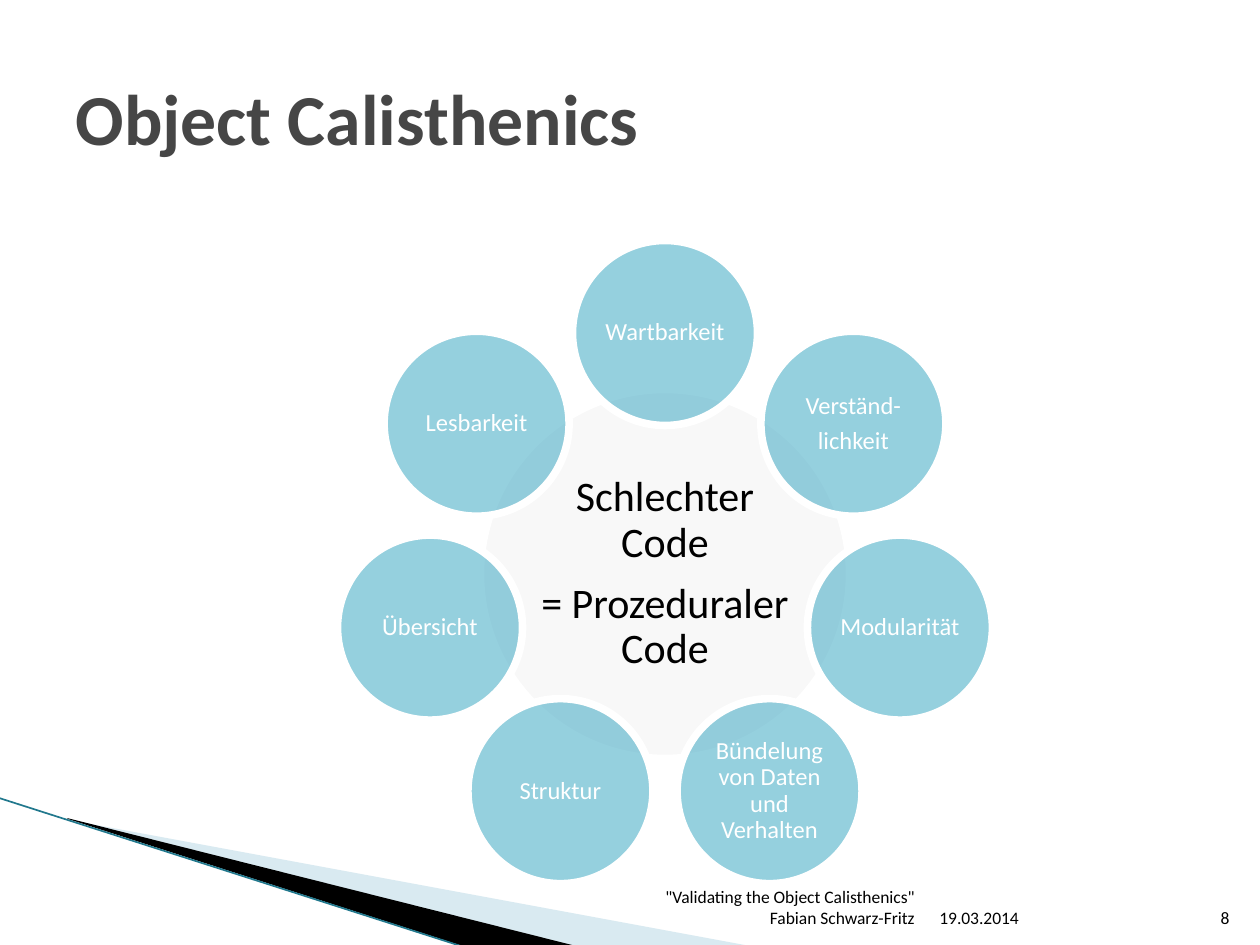
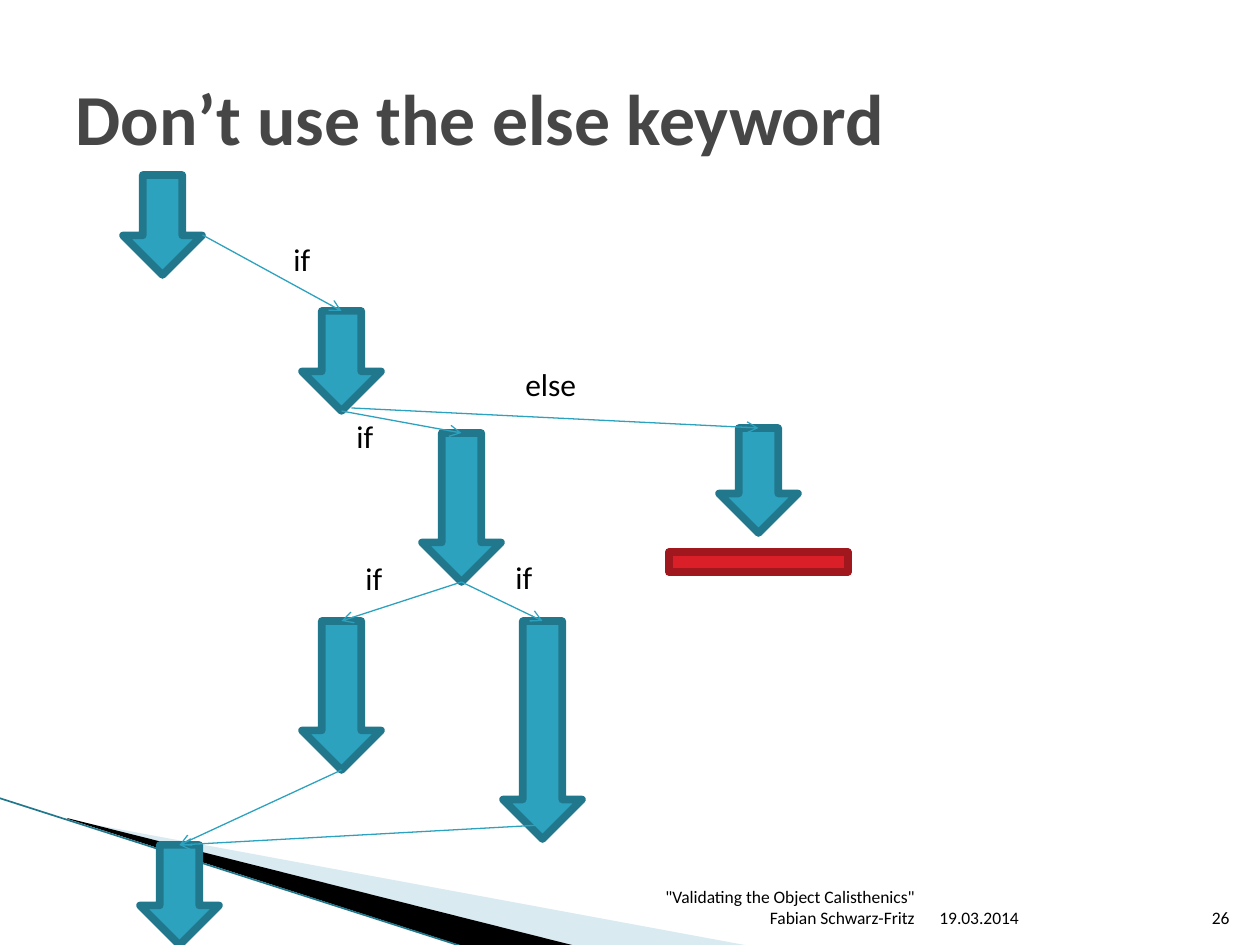
from math import cos, pi, sin

from lxml.etree import SubElement
from pptx import Presentation
from pptx.dml.color import RGBColor
from pptx.enum.shapes import MSO_CONNECTOR, MSO_SHAPE
from pptx.enum.text import MSO_ANCHOR, MSO_AUTO_SIZE, PP_ALIGN
from pptx.oxml.ns import qn
from pptx.util import Pt

# Shared style: 126 px to the inch
PX = 914400 / 126
FONT = "Calibri"
COLORS = {
    "title": "464646", "text": "000000", "white": "FFFFFF",
    "teal": "2DA2BF", "teal_dark": "21788D", "pale": "A0CBDC",
    "hub": "F2F2F2", "red": "DA1F28", "red_dark": "A1171E",
}
THICK, THIN = 4.33, 0.75

# Footer and corner band: box, text, alignment / points, colour, opacity
FOOTER = [
    ((927, 883, 265, 51), "19.03.2014", PP_ALIGN.LEFT),
    ((603, 883, 324, 51),
     '"Validating the Object Calisthenics"\vFabian Schwarz-Fritz', PP_ALIGN.RIGHT),
]
NUMBER_BOX = (1192, 883, 50, 51)
TITLE_BOX = (63, 38, 1134, 158)
BANDS = [
    ([(69, 820), (750, 946), (575, 946), (69, 819)], "pale", 40),
    ([(67, 818), (576, 946), (469, 948), (68, 819)], "text", 100),
]
BAND_EDGE = ((-1, 798), (467, 948))

# Slide 1: hub with a ring of qualities, clockwise from the top
HUB = ["Schlechter Code", "= Prozeduraler Code"]
QUALITIES = [
    ["Wartbarkeit"], ["Verständ-", "lichkeit"], ["Modularität"],
    ["Bündelung von Daten und Verhalten"], ["Struktur"], ["Übersicht"],
    ["Lesbarkeit"],
]
CENTER, RING_RADIUS, HUB_SIZE, QUALITY_SIZE = (665, 574), 241, 369, 185

# Slide 2: block arrows as left, top, height
ARROW_WIDTH = 79
ARROWS = {
    "branch": (302, 311, 100), "nested": (422, 433, 149),
    "dead_end": (719, 428, 105), "left": (302, 621, 149),
    "right": (503, 621, 218), "start": (123, 175, 100), "end": (140, 845, 100),
}
# Flow: source, offset from its tip, target
FLOWS = [
    ("start", (40, -40), "branch"), ("branch", (0, 0), "nested"),
    ("branch", (10, -3), "dead_end"), ("nested", (0, 0), "left"),
    ("nested", (0, 0), "right"), ("left", (0, 0), "end"),
    ("right", (0, -14), "end"),
]
CONDITIONS = [
    ("if", 281, 234), ("if", 344, 411), ("else", 513, 359),
    ("if", 353, 553), ("if", 503, 552),
]
STOP_BAR = (669, 552, 179, 20)


def emu(*values):
    return [round(v * PX) for v in values]


def rgb(name):
    return RGBColor.from_string(COLORS[name])


def set_all(obj, **values):
    for name, value in values.items():
        setattr(obj, name, value)


def write(tf, lines, size, color="text", align=PP_ALIGN.LEFT, inset=None,
          anchor=MSO_ANCHOR.TOP, bold=False, **spacing):
    set_all(tf, word_wrap=True, auto_size=MSO_AUTO_SIZE.NONE, vertical_anchor=anchor)
    if inset is not None:
        for side in ("left", "top", "right", "bottom"):
            setattr(tf, f"margin_{side}", round(inset * PX))
    for i, line in enumerate(lines):
        p = tf.add_paragraph() if i else tf.paragraphs[0]
        p.text = line
        set_all(p, alignment=align, **spacing)
        for r in p.runs:
            set_all(r.font, name=FONT, size=Pt(size), bold=bold)
            r.font.color.rgb = rgb(color)


def add_text(s, box, lines, size, **style):
    write(s.shapes.add_textbox(*emu(*box)).text_frame, lines, size, **style)


def paint(sp, fill, line=None, opacity=100):
    sp.shadow.inherit = False
    sp.fill.solid()
    sp.fill.fore_color.rgb = rgb(fill)
    if opacity < 100:
        color = sp.fill._xPr.find(qn("a:solidFill"))[0]
        SubElement(color, qn("a:alpha"), val=str(opacity * 1000))
    if line:
        sp.line.color.rgb = rgb(line)
        sp.line.width = Pt(THICK)
        SubElement(sp.line._get_or_add_ln(), qn("a:round"))
    else:
        sp.line.fill.background()


def add_shape(s, kind, box, fill, line, opacity=100):
    sp = s.shapes.add_shape(kind, *emu(*box))
    paint(sp, fill, line, opacity)
    return sp


def add_line(s, start, end, color, width, arrow=False):
    cn = s.shapes.add_connector(MSO_CONNECTOR.STRAIGHT, *emu(*start, *end))
    cn.line.color.rgb = rgb(color)
    cn.line.width = Pt(width)
    if arrow:
        SubElement(cn.line._get_or_add_ln(), qn("a:tailEnd"), type="arrow")
    SubElement(cn._element.spPr, qn("a:effectLst"))


def add_slide(prs, title, number):
    s = prs.slides.add_slide(prs.slide_layouts[5])
    # Corner band
    for points, color, opacity in BANDS:
        fb = s.shapes.build_freeform(*points[0], scale=PX)
        fb.add_line_segments(points[1:], close=True)
        paint(fb.convert_to_shape(), color, opacity=opacity)
    add_line(s, *BAND_EDGE, "teal_dark", 0.95)
    # Title
    sp = s.shapes.title
    set_all(sp, **dict(zip(("left", "top", "width", "height"), emu(*TITLE_BOX))))
    write(sp.text_frame, [title], 41, "title", anchor=MSO_ANCHOR.MIDDLE, bold=True)
    # Footer
    for box, text, align in FOOTER + [(NUMBER_BOX, str(number), PP_ALIGN.RIGHT)]:
        add_text(s, box, [text], 10, align=align, anchor=MSO_ANCHOR.BOTTOM)
    return s


def add_circle(s, center, size, lines, font_size, fill, color, gap):
    x, y = center
    sp = add_shape(s, MSO_SHAPE.OVAL, (x - size / 2, y - size / 2, size, size),
                   fill, "white", 50)
    write(sp.text_frame, lines, font_size, color, PP_ALIGN.CENTER, inset=3,
          anchor=MSO_ANCHOR.MIDDLE, line_spacing=0.9, space_after=Pt(gap))


def build_calisthenics(prs):
    s = add_slide(prs, "Object Calisthenics", 8)
    add_circle(s, CENTER, HUB_SIZE, HUB, 24, "hub", "text", 9)
    for i, lines in enumerate(QUALITIES):
        angle = 2 * pi * i / len(QUALITIES)
        center = (CENTER[0] + RING_RADIUS * sin(angle),
                  CENTER[1] - RING_RADIUS * cos(angle))
        add_circle(s, center, QUALITY_SIZE, lines, 14, "teal", "white", 5)


def build_else_keyword(prs):
    s = add_slide(prs, "Don’t use the else keyword", 26)
    for x, y, height in ARROWS.values():
        add_shape(s, MSO_SHAPE.DOWN_ARROW, (x, y, ARROW_WIDTH, height),
                  "teal", "teal_dark")
    add_shape(s, MSO_SHAPE.RECTANGLE, STOP_BAR, "red", "red_dark")
    # Flow lines run from a tip to the top of the next arrow
    for source, (dx, dy), target in FLOWS:
        x, y, height = ARROWS[source]
        to_x, to_y, _ = ARROWS[target]
        half = ARROW_WIDTH / 2
        add_line(s, (x + half + dx, y + height + dy), (to_x + half, to_y),
                 "teal", THIN, arrow=True)
    for word, x, y in CONDITIONS:
        add_text(s, (x, y, 87 if word == "else" else 58, 50), [word], 18)


def main():
    prs = Presentation()
    prs.slide_width, prs.slide_height = emu(1260, 945)
    build_calisthenics(prs)
    build_else_keyword(prs)
    prs.save("out.pptx")


if __name__ == "__main__":
    main()
